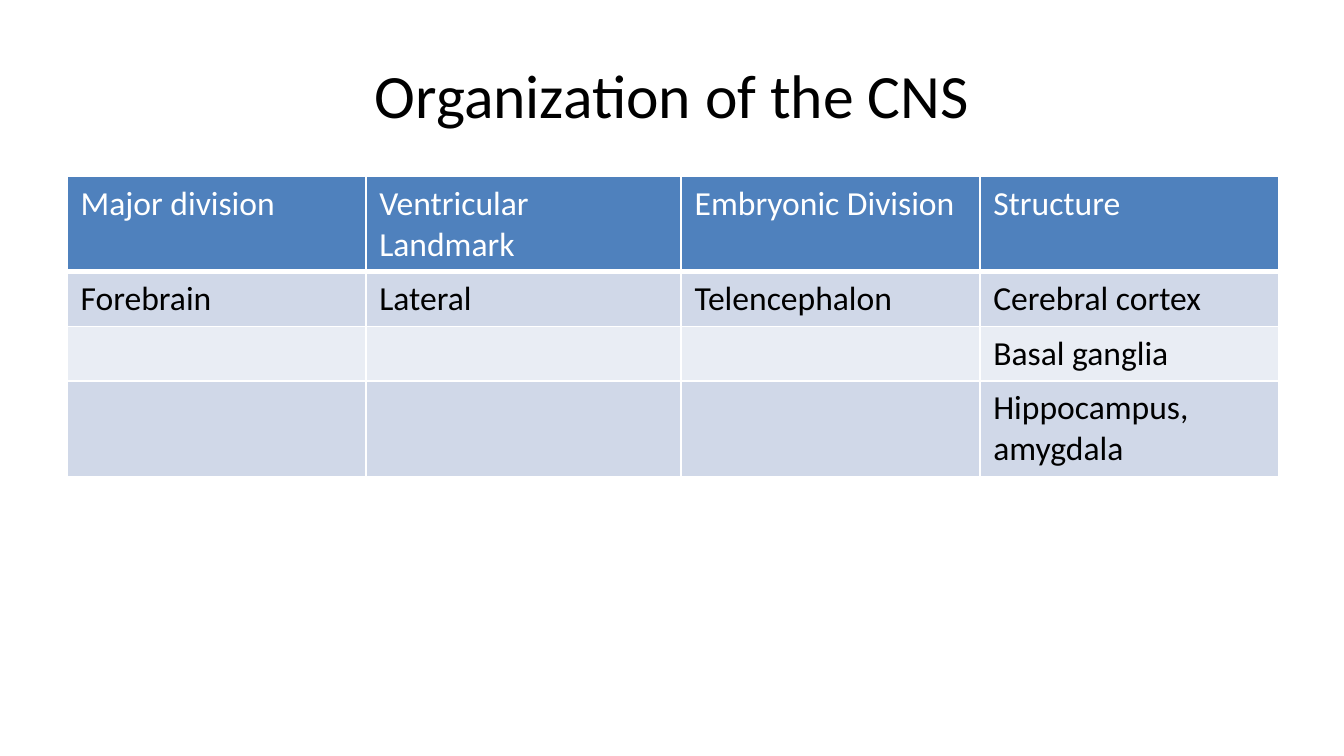
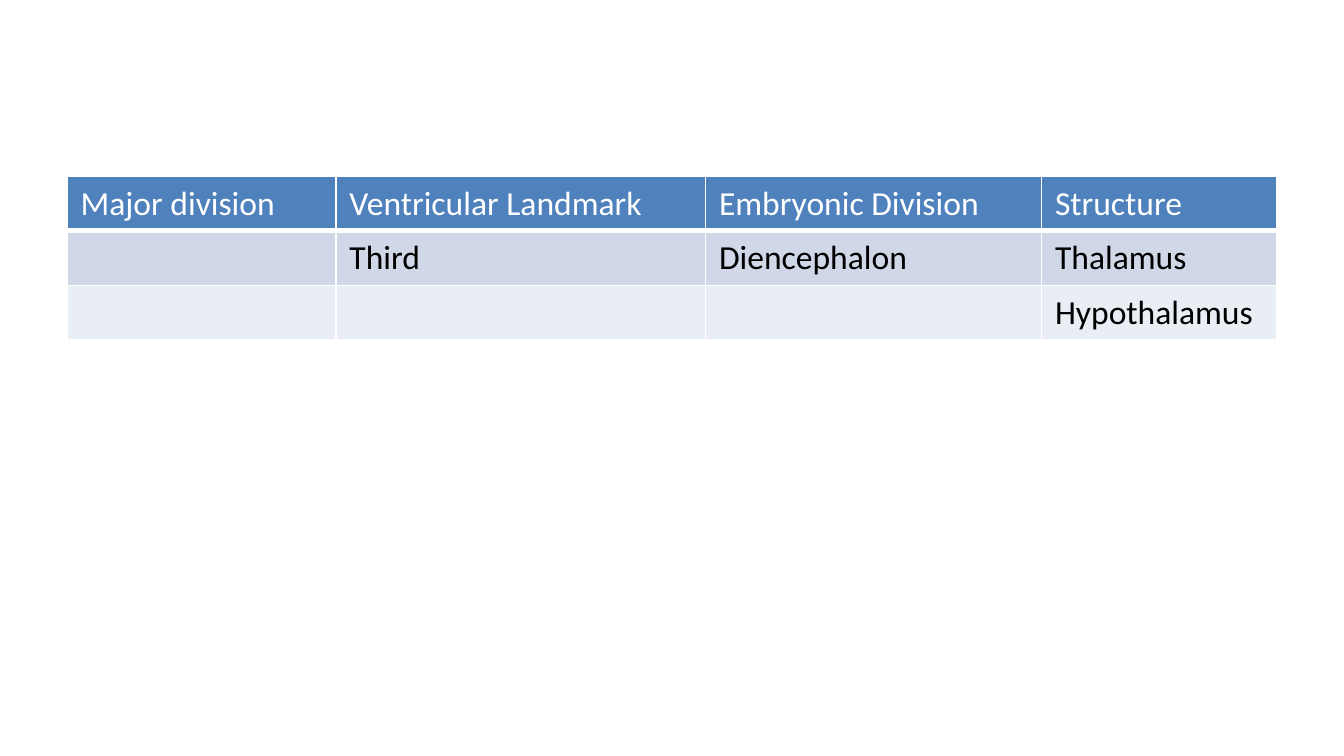
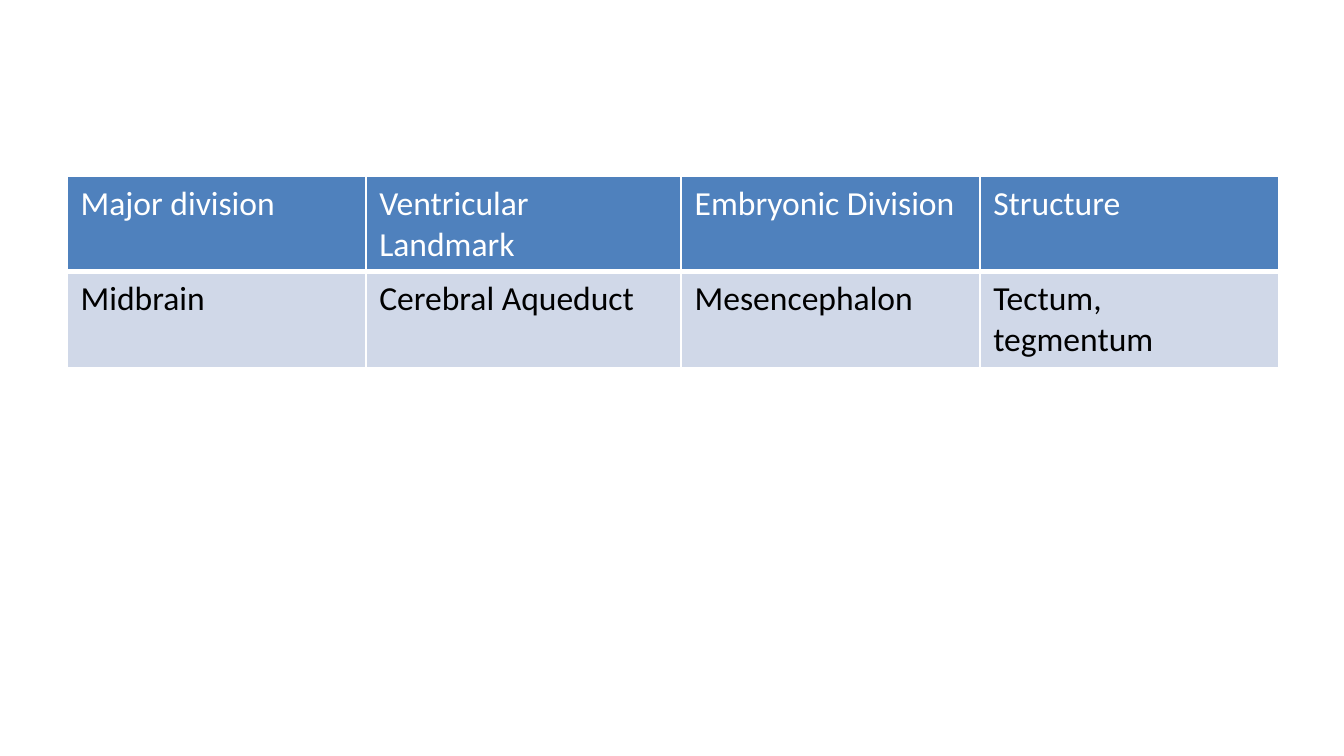
from dataclasses import dataclass
from typing import Optional

from lxml.etree import SubElement
from pptx import Presentation
from pptx.dml.color import RGBColor
from pptx.enum.text import MSO_ANCHOR, PP_ALIGN
from pptx.oxml.ns import qn
from pptx.util import Pt

WHITE = RGBColor(0xFF, 0xFF, 0xFF)
BLACK = RGBColor(0x00, 0x00, 0x00)
HEADER_FILL = RGBColor(0x4F, 0x81, 0xBD)
BAND_FILLS = (RGBColor(0xD0, 0xD8, 0xE8), RGBColor(0xE9, 0xED, 0xF4))

FONT = "Calibri"
TITLE_SIZE, CELL_SIZE = Pt(33), Pt(18)
LEFT, WIDTH = Pt(36), Pt(648)
TITLE_TOP, TITLE_HEIGHT = Pt(16.5), Pt(67.5)
TABLE_TOP, TABLE_HEIGHT = Pt(94.5), Pt(267)
THIN, THICK = Pt(1), Pt(3)
TITLE_ONLY, BLANK = 5, 6

HEADERS = ("Major division", "Ventricular Landmark", "Embryonic Division", "Structure")
EVEN_COLUMNS = (160, 169, 160, 160)
WIDE_COLUMNS = (144, 198, 180, 126)


@dataclass(frozen=True)
class DivisionSlide:
    """A slide with one table of brain divisions; widths are in points."""

    widths: tuple[int, ...]
    rows: tuple[tuple[str, ...], ...]
    title: Optional[str] = None


SLIDES = (
    DivisionSlide(
        EVEN_COLUMNS,
        (
            ("Forebrain", "Lateral", "Telencephalon", "Cerebral cortex"),
            ("", "", "", "Basal ganglia"),
            ("", "", "", "Hippocampus, amygdala"),
        ),
        "Organization of the CNS",
    ),
    DivisionSlide(
        WIDE_COLUMNS,
        (
            ("", "Third", "Diencephalon", "Thalamus"),
            ("", "", "", "Hypothalamus"),
        ),
    ),
    DivisionSlide(
        EVEN_COLUMNS,
        (("Midbrain", "Cerebral Aqueduct", "Mesencephalon", "Tectum, tegmentum"),),
    ),
)


def add_run(p, text: str, size: Pt, color: RGBColor) -> None:
    """Add one styled run to a paragraph."""
    r = p.add_run()
    r.text = text
    r.font.name = FONT
    r.font.size = size
    r.font.bold = False
    r.font.color.rgb = color


def add_title(s, text: str) -> None:
    """Place and fill the title placeholder."""
    sp = s.shapes.title
    sp.left, sp.top, sp.width, sp.height = LEFT, TITLE_TOP, WIDTH, TITLE_HEIGHT
    tf = sp.text_frame
    tf.vertical_anchor = MSO_ANCHOR.MIDDLE
    p = tf.paragraphs[0]
    p.alignment = PP_ALIGN.CENTER
    add_run(p, text, TITLE_SIZE, BLACK)


def set_borders(cell, bottom: Pt) -> None:
    """Give a cell white borders, with its own bottom width."""
    tc_pr = cell._tc.get_or_add_tcPr()
    for side, width in (("L", THIN), ("R", THIN), ("T", THIN), ("B", bottom)):
        ln = SubElement(tc_pr, qn(f"a:ln{side}"), w=str(int(width)))
        fill = SubElement(ln, qn("a:solidFill"))
        SubElement(fill, qn("a:srgbClr"), val=str(WHITE))


def format_cell(cell, text: str, fill: RGBColor, color: RGBColor, bottom: Pt) -> None:
    """Set the borders, fill and text of a cell."""
    set_borders(cell, bottom)
    cell.fill.solid()
    cell.fill.fore_color.rgb = fill
    if text:
        add_run(cell.text_frame.paragraphs[0], text, CELL_SIZE, color)


def add_division_table(s, item: DivisionSlide) -> None:
    """Add the table, whose rows grow to fit their text."""
    rows = (HEADERS, *item.rows)
    frame = s.shapes.add_table(len(rows), len(HEADERS), LEFT, TABLE_TOP, WIDTH, TABLE_HEIGHT)
    table = frame.table
    table.first_row = table.horz_banding = False
    for column, width in zip(table.columns, item.widths):
        column.width = Pt(width)
    for i, texts in enumerate(rows):
        table.rows[i].height = Pt(0)
        if i == 0:
            style = (HEADER_FILL, WHITE, THICK)
        else:
            style = (BAND_FILLS[(i - 1) % 2], BLACK, THIN)
        for j, text in enumerate(texts):
            format_cell(table.cell(i, j), text, *style)
    frame.width, frame.height = WIDTH, TABLE_HEIGHT


def main() -> None:
    """Build and save the presentation."""
    prs = Presentation()
    prs.slide_width, prs.slide_height = Pt(720), Pt(405)
    for item in SLIDES:
        s = prs.slides.add_slide(prs.slide_layouts[TITLE_ONLY if item.title else BLANK])
        if item.title:
            add_title(s, item.title)
        add_division_table(s, item)
    prs.save("out.pptx")


if __name__ == "__main__":
    main()
